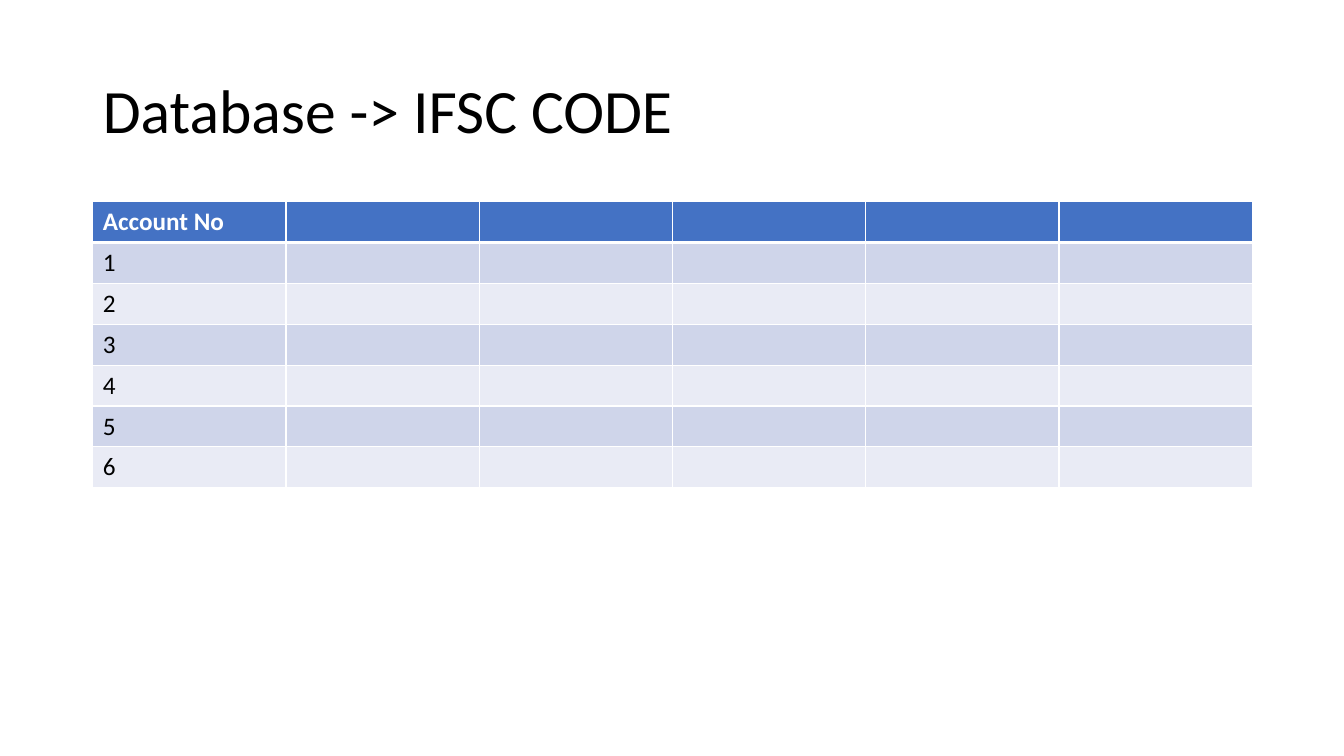
from lxml import etree
from pptx import Presentation
from pptx.dml.color import RGBColor
from pptx.enum.text import MSO_ANCHOR, PP_ALIGN
from pptx.oxml.ns import qn
from pptx.util import Inches, Pt

LEFT = PP_ALIGN.LEFT
MIDDLE = MSO_ANCHOR.MIDDLE
TITLE_ONLY = 5
FONT = "Calibri"
COLORS = {
    "text": "000000",
    "white": "FFFFFF",
    "header": "4472C4",
    "odd": "CFD5EA",
    "even": "E9EBF5",
}
HEADERS = ["Account No", "", "", "", "", ""]
ACCOUNTS = [[str(n)] + [""] * 5 for n in range(1, 7)]


def add_run(p, text, size, color, bold=False):
    r = p.add_run()
    r.text = text
    r.font.name = FONT
    r.font.size = Pt(size)
    r.font.bold = bold
    r.font.color.rgb = RGBColor.from_string(COLORS[color])


def add_title(s, text, left, top, width, height):
    sp = s.shapes.title
    sp.left, sp.top = Inches(left), Inches(top)
    sp.width, sp.height = Inches(width), Inches(height)
    tf = sp.text_frame
    tf.word_wrap = True
    tf.vertical_anchor = MIDDLE
    p = tf.paragraphs[0]
    p.alignment = LEFT
    p.line_spacing = 0.9
    add_run(p, text, 44, "text")


def set_borders(cell, widths):
    tc_pr = cell._tc.get_or_add_tcPr()
    for side, width in widths.items():
        ln = etree.SubElement(tc_pr, qn(f"a:ln{side}"), w=str(Pt(width)))
        fill = etree.SubElement(ln, qn("a:solidFill"))
        etree.SubElement(fill, qn("a:srgbClr"), val=COLORS["white"])


def add_account_table(s, rows, left, top, width, height):
    table = s.shapes.add_table(
        len(rows), len(rows[0]),
        Inches(left), Inches(top), Inches(width), Inches(height),
    ).table
    for i, row in enumerate(rows):
        is_header = i == 0
        fill = "header" if is_header else ("odd" if i % 2 else "even")
        widths = {"L": 1, "R": 1, "T": 3 if i == 1 else 1, "B": 3 if is_header else 1}
        for j, text in enumerate(row):
            cell = table.cell(i, j)
            set_borders(cell, widths)
            cell.fill.solid()
            cell.fill.fore_color.rgb = RGBColor.from_string(COLORS[fill])
            if text:
                color = "white" if is_header else "text"
                add_run(cell.text_frame.paragraphs[0], text, 18, color, is_header)


prs = Presentation()
prs.slide_width, prs.slide_height = Inches(13.33), Inches(7.5)
s = prs.slides.add_slide(prs.slide_layouts[TITLE_ONLY])
add_title(s, "Database -> IFSC CODE", 0.92, 0.4, 11.5, 1.45)
add_account_table(s, [HEADERS] + ACCOUNTS, 0.92, 2, 11.5, 2.84)
prs.save("out.pptx")
